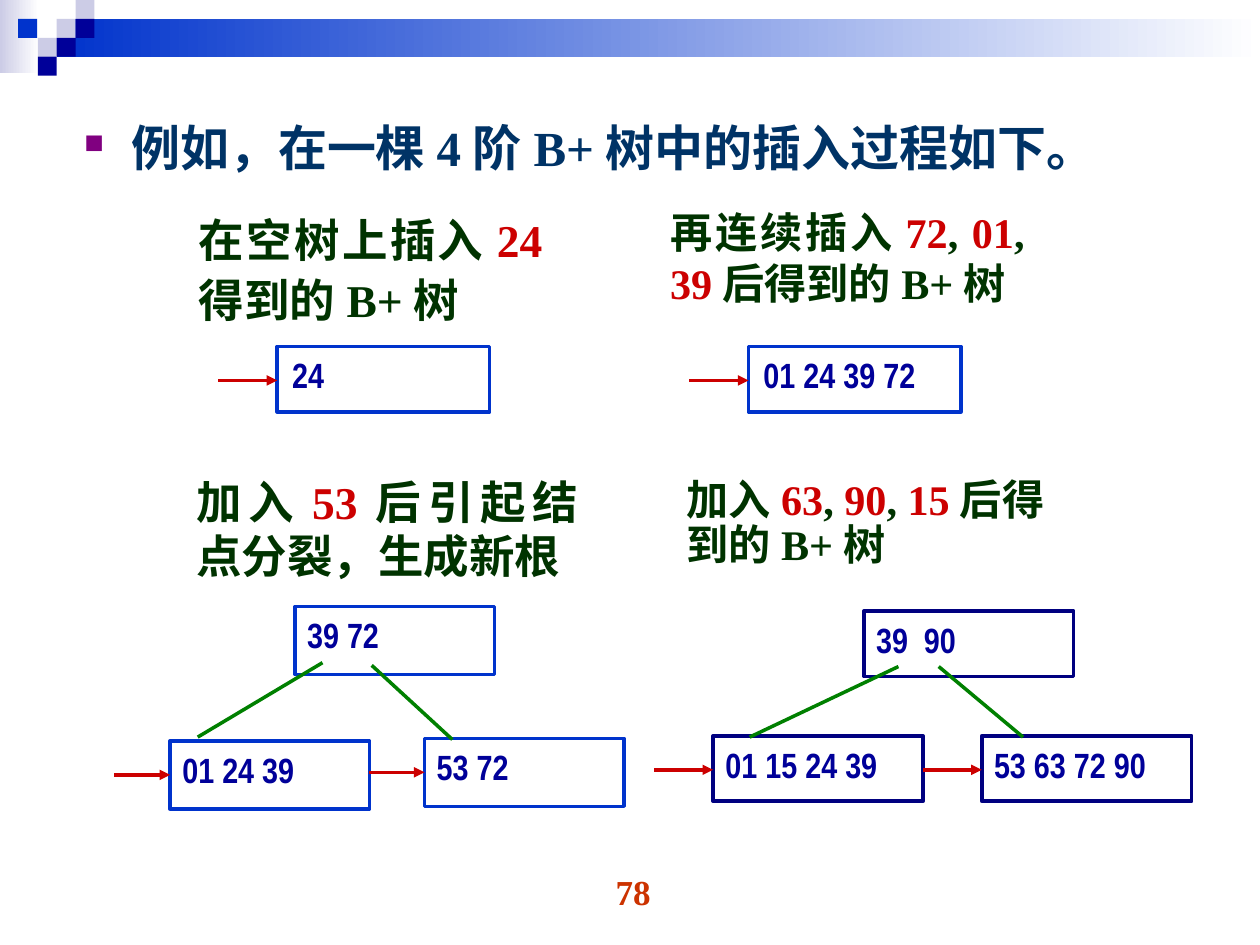
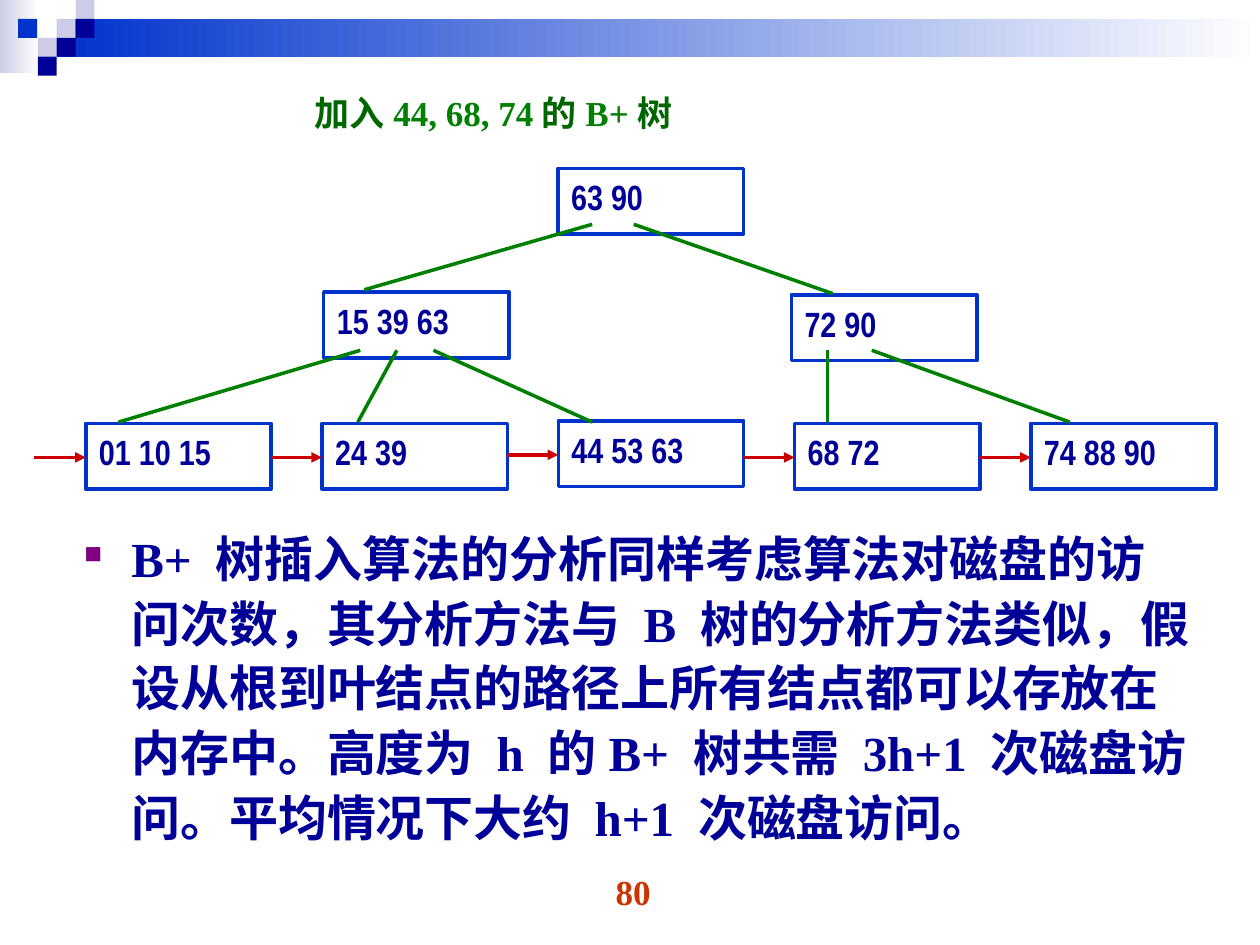
from dataclasses import dataclass
from lxml.etree import SubElement as Sub
from pptx import Presentation
from pptx.dml.color import RGBColor as Rgb
from pptx.enum.shapes import MSO_CONNECTOR as Conn, MSO_SHAPE as Kind
from pptx.enum.text import MSO_ANCHOR as Anchor, PP_ALIGN as Align
from pptx.oxml.ns import qn
from pptx.util import Pt


@dataclass(frozen=True)
class Theme:
    pale: str = "CCCCE6"
    white: str = "FFFFFF"
    blue: str = "0033CC"
    ink: str = "000099"
    navy: str = "000080"
    teal: str = "003366"
    dark: str = "003300"
    moss: str = "006600"
    green: str = "008000"
    red: str = "CC0000"
    rust: str = "CC3300"
    plum: str = "800080"
    serif: str = "Times New Roman"
    sans: str = "Arial Narrow"
    body: float = 28
    large: float = 26
    mid: float = 24.1
    small: float = 20
    edge: float = 2


T = Theme()


def block(slide, spot, fill=None, edge=None):
    shape = slide.shapes.add_shape(Kind.RECTANGLE, *map(Pt, spot))
    shape.shadow.inherit = False
    if fill is None:
        shape.fill.background()
    elif isinstance(fill, tuple):
        shape.fill.gradient()
        shape.fill.gradient_angle = 0
        for stop, tone in zip(shape.fill.gradient_stops, fill):
            stop.color.rgb = Rgb.from_string(tone)
    else:
        shape.fill.solid()
        shape.fill.fore_color.rgb = Rgb.from_string(fill)
    if edge:
        shape.line.color.rgb = Rgb.from_string(edge)
        shape.line.width = Pt(T.edge)
    else:
        shape.line.fill.background()
    return shape


def write(shape, paras, size, face=T.serif, align=Align.JUSTIFY, space=1.0, dot=None):
    frame = shape.text_frame
    frame.word_wrap = True
    frame.vertical_anchor = Anchor.TOP
    for i, runs in enumerate(paras):
        para = frame.add_paragraph() if i else frame.paragraphs[0]
        if dot:
            props = para._p.get_or_add_pPr()
            props.set("marL", str(Pt(27)))
            props.set("indent", str(-Pt(27)))
            Sub(Sub(props, qn("a:buClr")), qn("a:srgbClr"), val=T.plum)
            Sub(props, qn("a:buSzPct"), val=str(dot * 1000))
            Sub(props, qn("a:buChar"), char="■")
        para.alignment = align
        para.line_spacing = space
        for words, tone in runs:
            run = para.add_run()
            run.text = words
            run.font.name = face
            run.font.size = Pt(size)
            run.font.bold = True
            run.font.color.rgb = Rgb.from_string(tone)


cell = 10.8
tiles = [
    (32.4, 10.8, T.pale), (43.2, 0, T.pale), (43.2, 10.8, T.ink),
    (21.6, 21.6, T.pale), (10.4, 10.8, T.blue),
    (32.4, 21.6, T.ink), (21.6, 32.4, T.ink),
]

insert = {
    "page": "78",
    "body": ((41, 60.5, 648, 67.7), "例如，在一棵4阶B+树中的插入过程如下。", T.teal, 55),
    "heads": [
        ((106.6, 114.5, 216.7, 76.3), T.large, 1.1, [
            [("在空树上插入", T.dark), ("24", T.red), ("得到的B+树", T.dark)],
        ]),
        ((375.8, 114.5, 216.7, 76.3), T.mid, 1.0, [
            [("再连续插入", T.dark), ("72", T.red), (", ", T.dark), ("01", T.red),
             (", ", T.dark), ("39", T.red), ("后得到的B+树", T.dark)],
        ]),
        ((105.1, 267.1, 232.6, 75.6), T.large, 1.0, [
            [("加入", T.dark), ("53", T.red), ("后引起结点分裂，生成新根", T.dark)],
        ]),
        ((385.2, 270, 241.2, 67.7), T.mid, 0.9, [
            [("加入", T.dark), ("63", T.red), (", ", T.dark), ("90", T.red),
             (", ", T.dark), ("15", T.red), ("后得", T.dark)],
            [("到的B+树", T.dark)],
        ]),
    ],
    "trees": [
        {"size": (121.5, 37.4), "edge": T.blue, "reach": 33.8, "pad": 8.6,
         "leaves": [(158.4, 198, "24"), (427.7, 198, "01 24 39 72")],
         "inner": [], "links": []},
        {"size": (114, 38.9), "edge": T.blue, "reach": 31.8, "pad": 7,
         "leaves": [(97.2, 423.4, "01 24 39"), (242.6, 421.9, "53 72")],
         "inner": [(168.5, 346.6, "39 72")],
         "links": [(184.3, 378.7, 113, 421.2), (212.4, 380.2, 258.5, 422.6)]},
        {"size": (120, 37.4), "edge": T.navy, "reach": 33.6, "pad": 7,
         "leaves": [(407.5, 420.5, "01 15 24 39"), (561, 420.5, "53 63 72 90")],
         "inner": [(493.6, 349.2, "39  90")],
         "links": [(513.4, 380.9, 428.4, 421.2), (536.4, 380.9, 584.6, 421.2)]},
    ],
}

labels = ["01 10 15", "24 39", "44 53 63", "68 72", "74 88 90"]
final = {
    "page": "80",
    "body": (
        (41, 295.2, 648, 198.7),
        "B+ 树插入算法的分析同样考虑算法对磁盘的访问次数，其分析方法与 B 树的分析方法类似，"
        "假设从根到叶结点的路径上所有结点都可以存放在内存中。高度为 h 的B+ 树共需 3h+1 "
        "次磁盘访问。平均情况下大约 h+1 次磁盘访问。",
        T.ink, 50),
    "heads": [
        ((172.8, 49, 360, 39.6), T.small, 1.0, [
            [("加入", T.moss), ("44, 68, 74", T.green), ("的", T.moss),
             ("B+", T.green), ("树", T.moss)],
        ]),
    ],
    "trees": [
        {"size": (106, 37.6), "edge": T.blue, "reach": 29.4, "pad": 7.5,
         "leaves": [(49 + 135 * i, 240.5 if i == 2 else 242, label)
                    for i, label in enumerate(labels)],
         "inner": [(185, 167, "15 39 63"), (452.2, 168.5, "72 90"), (318.8, 96.2, "63 90")],
         "links": [
             (205.9, 200.2, 67.7, 241.2), (226.8, 200.2, 204.5, 241.2),
             (247.7, 200.2, 338.4, 241.2), (498.2, 200.2, 611.3, 241.2),
             (338.4, 128.2, 208.1, 165.6), (362.2, 128.2, 475.9, 167.8),
             (473, 241.2, 473, 200.2),
         ]},
    ],
}

deck = Presentation()
deck.slide_width, deck.slide_height = Pt(720), Pt(540)

for topic in (insert, final):
    slide = deck.slides.add_slide(deck.slide_layouts[6])
    block(slide, (0, 0, 22.3, 41.8), (T.pale, T.white))
    block(slide, (32.4, 10.8, 687.6, 21.6), (T.blue, T.white))
    for x, y, tone in tiles:
        block(slide, (x, y, cell, cell), tone)

    page = slide.shapes.add_textbox(*map(Pt, (277.9, 493.9, 167.8, 37.4)))
    write(page, [[(topic["page"], T.rust)]], T.small, align=Align.CENTER)

    spot, words, tone, dot = topic["body"]
    body = slide.shapes.add_textbox(*map(Pt, spot))
    write(body, [[(words, tone)]], T.body, align=Align.LEFT, space=1.1, dot=dot)

    for spot, size, space, paras in topic["heads"]:
        head = slide.shapes.add_textbox(*map(Pt, spot))
        write(head, paras, size, space=space)

    for tree in topic["trees"]:
        for x, y, keys in tree["leaves"] + tree["inner"]:
            node = block(slide, (x, y, *tree["size"]), edge=tree["edge"])
            node.text_frame.margin_left = Pt(tree["pad"])
            node.text_frame.margin_top = Pt(4.2)
            write(node, [[(keys, T.ink)]], T.small, T.sans)

        arrows = [(x - tree["reach"], y + 19.4, x, y + 19.4, T.red)
                  for x, y, keys in tree["leaves"]]
        links = [(*ends, T.green) for ends in tree["links"]]
        for *ends, tone in arrows + links:
            line = slide.shapes.add_connector(Conn.STRAIGHT, *map(Pt, ends))
            line.line.color.rgb = Rgb.from_string(tone)
            line.line.width = Pt(T.edge)
            if tone == T.red:
                Sub(line.line._get_or_add_ln(), qn("a:tailEnd"), type="triangle")
            Sub(line._element.spPr, qn("a:effectLst"))

deck.save("out.pptx")
